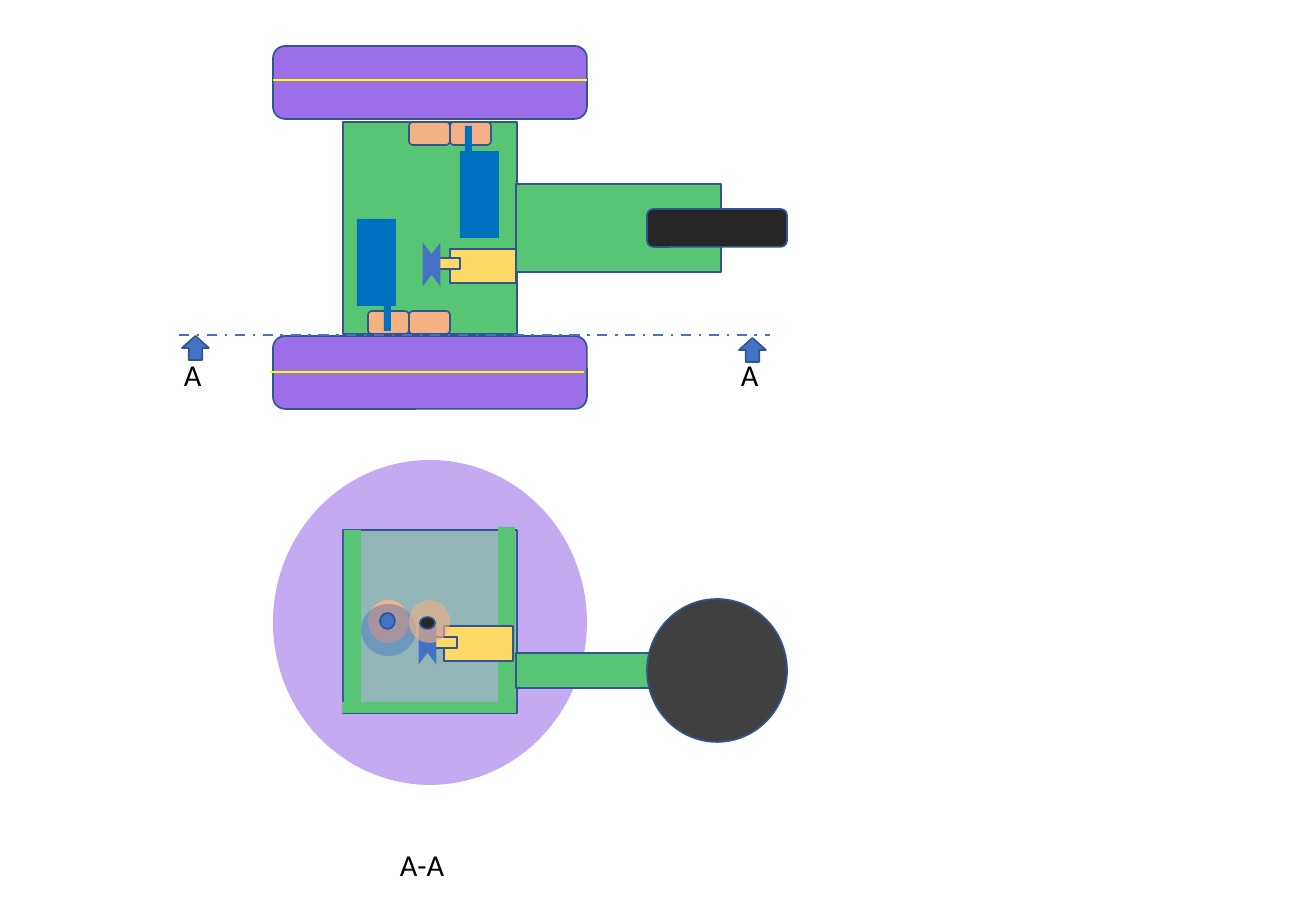
from collections import namedtuple
from lxml import etree
from pptx import Presentation
from pptx.dml.color import RGBColor
from pptx.enum.dml import MSO_LINE
from pptx.enum.shapes import MSO_CONNECTOR, MSO_SHAPE
from pptx.oxml.ns import qn
from pptx.util import Emu, Pt

SCALE = 914400 / 121.5
PURPLE = RGBColor(0x6B, 0x2B, 0xDD)
GREEN = RGBColor(0x57, 0xC5, 0x74)
PEACH = RGBColor(0xF4, 0xB1, 0x83)
MOTOR_BLUE = RGBColor(0x00, 0x70, 0xC0)
BLUE = RGBColor(0x44, 0x72, 0xC4)
OUTLINE = RGBColor(0x32, 0x54, 0x91)
GOLD = RGBColor(0xFF, 0xD9, 0x66)
YELLOW = RGBColor(0xFF, 0xFF, 0x00)
CHARCOAL = RGBColor(0x40, 0x40, 0x40)
DARK = RGBColor(0x26, 0x26, 0x26)
BLACK = RGBColor(0x00, 0x00, 0x00)

Box = namedtuple("Box", "left top")


def px(value):
    return Emu(round(value * SCALE))


def add_part(slide, box, kind, bounds, color, outlined=True, opacity=100, rotation=0):
    left, top, width, height = bounds
    shape = slide.shapes.add_shape(
        kind, px(box.left + left), px(box.top + top), px(width), px(height))
    shape.shadow.inherit = False
    shape.rotation = rotation
    shape.fill.solid()
    shape.fill.fore_color.rgb = color
    if opacity < 100:
        fill_color = shape.fill._xPr.find(qn("a:solidFill"))[0]
        etree.SubElement(fill_color, qn("a:alpha"), val=str(opacity * 1000))
    if outlined:
        shape.line.color.rgb = OUTLINE
        shape.line.width = Pt(1)
    else:
        shape.line.fill.background()


def add_line(slide, box, left, right, y, color, dash=None):
    connector = slide.shapes.add_connector(
        MSO_CONNECTOR.STRAIGHT, px(box.left + left), px(box.top + y),
        px(box.left + right), px(box.top + y))
    connector.line.color.rgb = color
    connector.line.width = Pt(1.5)
    if dash is not None:
        connector.line.dash_style = dash
    etree.SubElement(connector._element.spPr, qn("a:effectLst"))


def add_label(slide, box, bounds, text):
    left, top, width, height = bounds
    label = slide.shapes.add_textbox(
        px(box.left + left), px(box.top + top), px(width), px(height))
    label.text_frame.word_wrap = True
    paragraph = label.text_frame.paragraphs[0]
    paragraph.text = text
    paragraph.font.name = "Calibri"
    paragraph.font.size = Pt(18)
    paragraph.font.color.rgb = BLACK


def add_clamp(slide, box, body, tip, jaws):
    add_part(slide, box, MSO_SHAPE.RECTANGLE, body, GOLD)
    add_part(slide, box, MSO_SHAPE.RECTANGLE, (*tip, 35, 11), GOLD)
    left, top = jaws
    for offset, rotation in ((1, 270), (0, 90)):
        add_part(slide, box, MSO_SHAPE.ISOSCELES_TRIANGLE, (left + offset, top, 44, 17),
                 BLUE, outlined=False, rotation=rotation)


def add_top_view(slide, box):
    add_part(slide, box, MSO_SHAPE.RECTANGLE, (171, 76, 174, 212), GREEN)
    add_part(slide, box, MSO_SHAPE.RECTANGLE, (344, 138, 205, 88), GREEN)
    add_part(slide, box, MSO_SHAPE.ROUNDED_RECTANGLE, (475, 163, 140, 38), DARK)

    for left, top in ((237, 76), (278, 76), (237, 265), (196, 265)):
        add_part(slide, box, MSO_SHAPE.ROUNDED_RECTANGLE, (left, top, 41, 23), PEACH)

    for motor, shaft in (((185, 173), (212, 254)), ((288, 105), (293, 80))):
        add_part(slide, box, MSO_SHAPE.RECTANGLE, (*motor, 39, 87), MOTOR_BLUE, outlined=False)
        add_part(slide, box, MSO_SHAPE.RECTANGLE, (*shaft, 7, 31), MOTOR_BLUE, outlined=False)

    add_clamp(slide, box, (278, 203, 66, 34), (253, 212), (237, 210))

    for wheel_top, band_left, band_y in ((290, 98, 326), (0, 101, 34)):
        add_part(slide, box, MSO_SHAPE.ROUNDED_RECTANGLE, (101, wheel_top, 314, 73),
                 PURPLE, opacity=68)
        add_line(slide, box, band_left, band_left + 314, band_y, YELLOW)

    add_line(slide, box, 7, 598, 289, BLUE, MSO_LINE.DASH_DOT)
    for label_left, arrow_top in ((0, 290), (557, 292)):
        add_part(slide, box, MSO_SHAPE.UP_ARROW, (label_left + 10, arrow_top, 27, 24), BLUE)
        add_label(slide, box, (label_left, 304, 46, 49), "A")


def add_section_view(slide, box):
    add_part(slide, box, MSO_SHAPE.OVAL, (0, 0, 314, 325), PURPLE, outlined=False, opacity=40)
    add_part(slide, box, MSO_SHAPE.RECTANGLE, (70, 70, 174, 183), GREEN, opacity=45)
    add_part(slide, box, MSO_SHAPE.RECTANGLE, (243, 193, 205, 35), GREEN)
    add_part(slide, box, MSO_SHAPE.OVAL, (374, 139, 140, 143), CHARCOAL)

    for wall in ((71, 70, 17, 183), (225, 67, 17, 183), (69, 242, 174, 11)):
        add_part(slide, box, MSO_SHAPE.RECTANGLE, wall, GREEN, outlined=False)

    add_part(slide, box, MSO_SHAPE.OVAL, (95, 140, 41, 43), PEACH, outlined=False)
    add_part(slide, box, MSO_SHAPE.OVAL, (88, 144, 55, 52), BLUE, outlined=False, opacity=44)
    add_part(slide, box, MSO_SHAPE.OVAL, (107, 153, 15, 16), BLUE)
    add_clamp(slide, box, (171, 166, 69, 35), (149, 177), (132, 174))
    add_part(slide, box, MSO_SHAPE.OVAL, (136, 140, 41, 43), PEACH, outlined=False, opacity=62)
    add_part(slide, box, MSO_SHAPE.OVAL, (147, 157, 15, 12), DARK)
    add_label(slide, box, (115, 380, 147, 49), "A-A")


presentation = Presentation()
presentation.slide_width = px(1316)
presentation.slide_height = px(911)
slide = presentation.slides.add_slide(presentation.slide_layouts[6])
add_section_view(slide, Box(273, 460))
add_top_view(slide, Box(172, 46))
presentation.save("out.pptx")
